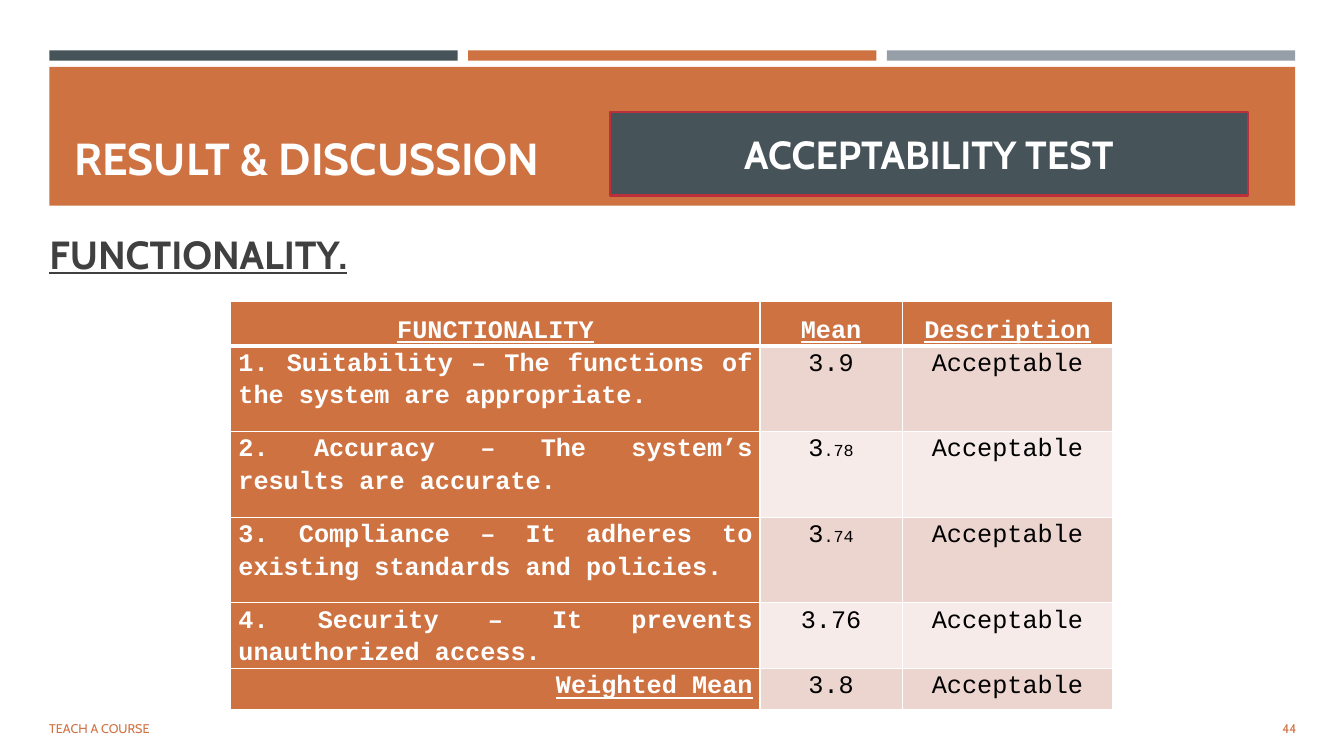
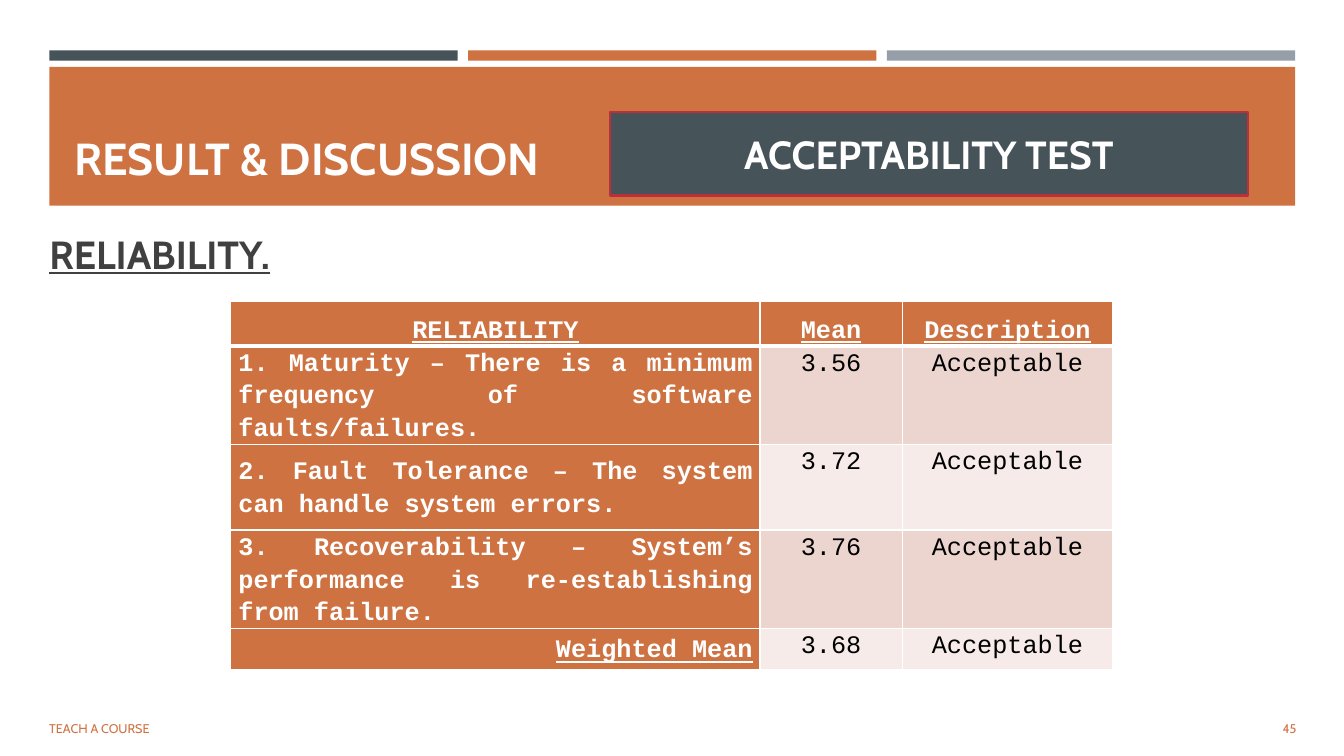
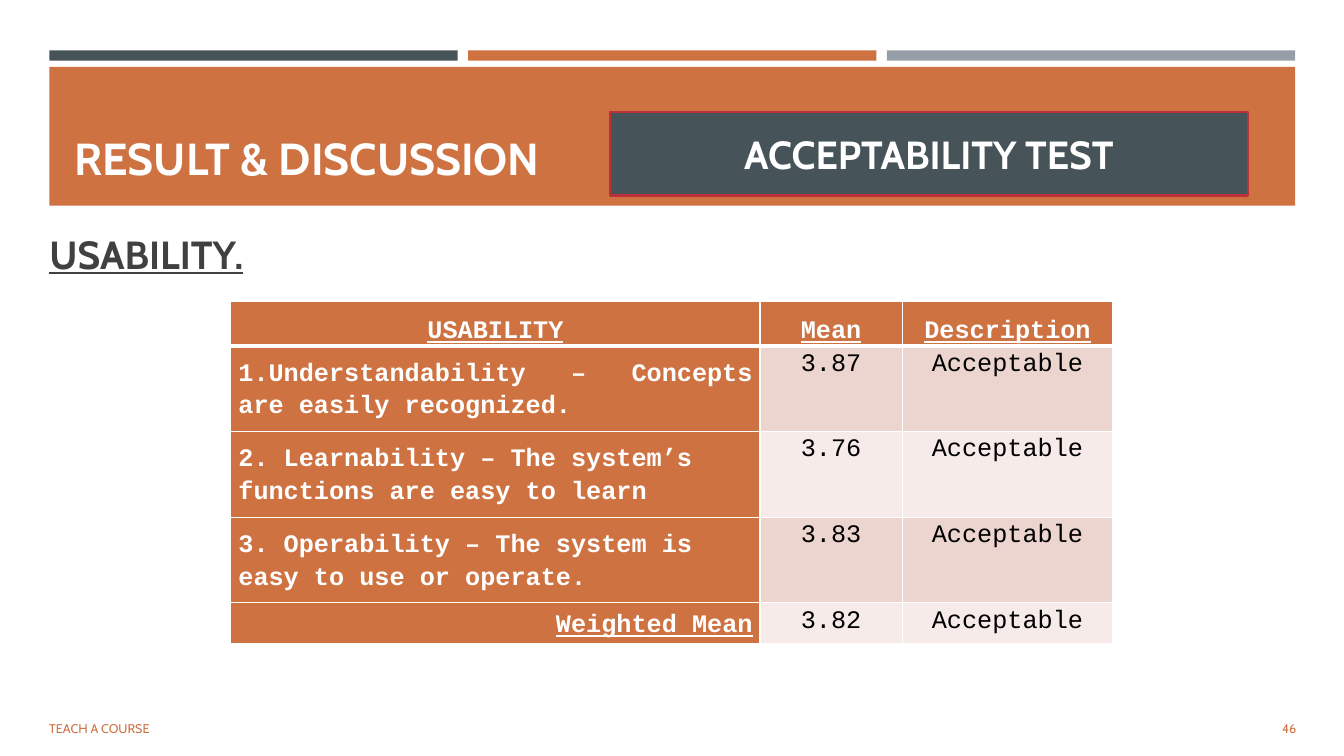
from lxml import etree
from pptx import Presentation
from pptx.dml.color import RGBColor
from pptx.enum.shapes import MSO_SHAPE
from pptx.enum.text import MSO_ANCHOR, MSO_AUTO_SIZE, PP_ALIGN
from pptx.oxml.ns import qn
from pptx.util import Pt

RECT = MSO_SHAPE.RECTANGLE
TOP, MID, LOW = MSO_ANCHOR.TOP, MSO_ANCHOR.MIDDLE, MSO_ANCHOR.BOTTOM
LEFT, MIDST, RIGHT, FULL = PP_ALIGN.LEFT, PP_ALIGN.CENTER, PP_ALIGN.RIGHT, PP_ALIGN.JUSTIFY
FIXED = MSO_AUTO_SIZE.NONE


class Theme:
    rust, slate, steel, wine = "CE7242", "465359", "969FA7", "BC303B"
    white, black, ink = "FFFFFF", "000000", "404040"
    bands = ("EDD5CF", "F6EBE9")
    sans, mono = "Cabin", "Courier New"
    title, head, cell, small, foot = Pt(32), Pt(28), Pt(18), Pt(12), Pt(9)


def put(item, vals):
    for key, val in vals.items():
        setattr(item, key, val)


def write(frame, parts, hue, font, para):
    line = frame.paragraphs[0]
    put(line, {"space_before": Pt(0), **para})
    for part in parts:
        run = line.add_run()
        run.text = part
        put(run.font, font)
        run.font.color.rgb = RGBColor.from_string(hue)
    return line


PAGES = [
    ("FUNCTIONALITY", TOP, [
        ("1. Suitability – The functions of the system are appropriate.", FULL, ("3.9",), 61.2),
        ("2. Accuracy – The system’s results are accurate.", FULL, ("3", ".78"), 61.2),
        ("3. Compliance – It adheres to existing standards and policies.", FULL, ("3", ".74"), 61.2),
        ("4. Security – It prevents unauthorized access.", FULL, ("3.76",), 29.5),
        ("Weighted Mean", RIGHT, ("3.8",), 29.5),
    ]),
    ("RELIABILITY", MID, [
        ("1. Maturity – There is a minimum frequency of software faults/failures.", FULL, ("3.56",), 61.2),
        ("2. Fault Tolerance – The system can handle system errors.", FULL, ("3.72",), 61.2),
        ("3. Recoverability – System’s performance is re-establishing from failure.", FULL, ("3.76",), 61.2),
        ("Weighted Mean", RIGHT, ("3.68",), 29.5),
    ]),
    ("USABILITY", MID, [
        ("1.Understandability – Concepts are easily recognized.", FULL, ("3.87",), 61.2),
        ("2. Learnability – The system’s functions are easy to learn", LEFT, ("3.76",), 61.2),
        ("3. Operability – The system is easy to use or operate.", LEFT, ("3.83",), 61.2),
        ("Weighted Mean", RIGHT, ("3.82",), 29.5),
    ]),
]

deck = Presentation()
put(deck, {"slide_width": Pt(960), "slide_height": Pt(540)})
layout = deck.slide_layouts[1]
slides = [deck.slides.add_slide(layout) for page in PAGES]

edge, span, gap = 35.3, 889.9, 7.5
wide = (span - 2 * gap) / 3
bars = [(edge + n * (wide + gap), 36, wide, 7.4, hue)
        for n, hue in enumerate((Theme.slate, Theme.rust, Theme.steel))]
bars.append((edge, 47.8, span, 99.2, Theme.rust))
for n, (*box, hue) in enumerate(bars):
    bar = slides[0].shapes.add_shape(RECT, *map(Pt, box))
    bar.shadow.inherit = False
    bar.fill.solid()
    bar.fill.fore_color.rgb = RGBColor.from_string(hue)
    bar.line.fill.background()
    bar.element.nvSpPr.cNvPr.set("id", str(20 + n))
    layout.shapes.element.insert(2 + n, bar.element)

widths = (378, 101.5, 150.5)
after = {"space_after": Pt(6)}
bold = {"name": Theme.sans, "bold": True}
tiny = {"name": Theme.sans, "size": Theme.foot}
mono = {"name": Theme.mono, "size": Theme.cell}

for num, (slide, (topic, anchor, items)) in enumerate(zip(slides, PAGES), 44):
    shapes = slide.shapes
    title, body = slide.placeholders
    badge = shapes.add_shape(RECT, Pt(435.6), Pt(79.9), Pt(455.8), Pt(59.8))
    badge.shadow.inherit = False
    badge.fill.solid()
    badge.fill.fore_color.rgb = RGBColor.from_string(Theme.slate)
    badge.line.color.rgb = RGBColor.from_string(Theme.wine)
    badge.line.width = Pt(1.75)
    page = shapes.add_textbox(0, 0, 0, 0)
    foot = shapes.add_textbox(0, 0, 0, 0)

    texts = [
        (title, (46, 57.6, 868.3, 77.8), LOW, "RESULT & DISCUSSION", Theme.white,
         {**bold, "size": Theme.title}, {"alignment": LEFT}),
        (body, (28.1, 146.9, 527.8, 68.4), MID, topic + ".", Theme.ink,
         {**bold, "size": Theme.head, "underline": True}, after),
        (badge, (435.6, 79.9, 455.8, 59.8), MID, "ACCEPTABILITY TEST", Theme.white,
         {**bold, "size": Theme.head}, {**after, "alignment": MIDST}),
        (page, (850.3, 506.2, 82.8, 28.8), MID, str(num), Theme.rust,
         tiny, {**after, "alignment": RIGHT}),
        (foot, (28.1, 506.2, 537.1, 28.8), MID, "TEACH A COURSE", Theme.rust, tiny, after),
    ]
    for shape, box, hold, text, hue, font, para in texts:
        put(shape, dict(zip(("left", "top", "width", "height"), map(Pt, box))))
        put(shape.text_frame, {"word_wrap": True, "auto_size": FIXED, "vertical_anchor": hold})
        line = write(shape.text_frame, [text], hue, font, para)
        if shape is body:
            props = line._p.get_or_add_pPr()
            put(line, {"alignment": LEFT})
            props.set("marL", "0")
            props.set("indent", "0")
            etree.SubElement(props, qn("a:buNone"))

    highs = [31.7] + [item[3] for item in items]
    grid = shapes.add_table(len(highs), 3, Pt(164.9), Pt(215.3), Pt(sum(widths)), Pt(sum(highs))).table
    grid.horz_banding = False
    for col, size in zip(grid.columns, widths):
        col.width = Pt(size)
    rows = [((topic,), ("Mean",), ("Description",))]
    rows += [((text,), mean, ("Acceptable",)) for text, align, mean, high in items]
    for r, row in enumerate(rows):
        grid.rows[r].height = Pt(highs[r])
        for c, parts in enumerate(row):
            cell = grid.cell(r, c)
            top, lead = r == 0, c == 0
            strong = top or lead
            put(cell, {"margin_left": Pt(5.4), "margin_right": Pt(5.4), "margin_top": 0,
                       "margin_bottom": 0,
                       "vertical_anchor": LOW if top else anchor if lead else TOP})
            props = cell._tc.get_or_add_tcPr()
            for side in "LRTB":
                thick = (side == "B" and r == 0) or (side == "T" and r == 1)
                rule = etree.SubElement(props, qn("a:ln" + side), w=str(Pt(3 if thick else 1)))
                paint = etree.SubElement(rule, qn("a:solidFill"))
                etree.SubElement(paint, qn("a:srgbClr"), val=Theme.white)
            cell.fill.solid()
            cell.fill.fore_color.rgb = RGBColor.from_string(
                Theme.rust if strong else Theme.bands[(r - 1) % 2])
            align = items[r - 1][1] if lead and not top else MIDST
            line = write(cell.text_frame, parts, Theme.white if strong else Theme.black,
                         {**mono, "bold": strong, "underline": top or align == RIGHT},
                         {"alignment": align, "line_spacing": 1.15})
            for run in line.runs[1:]:
                run.font.size = Theme.small

deck.save("out.pptx")
